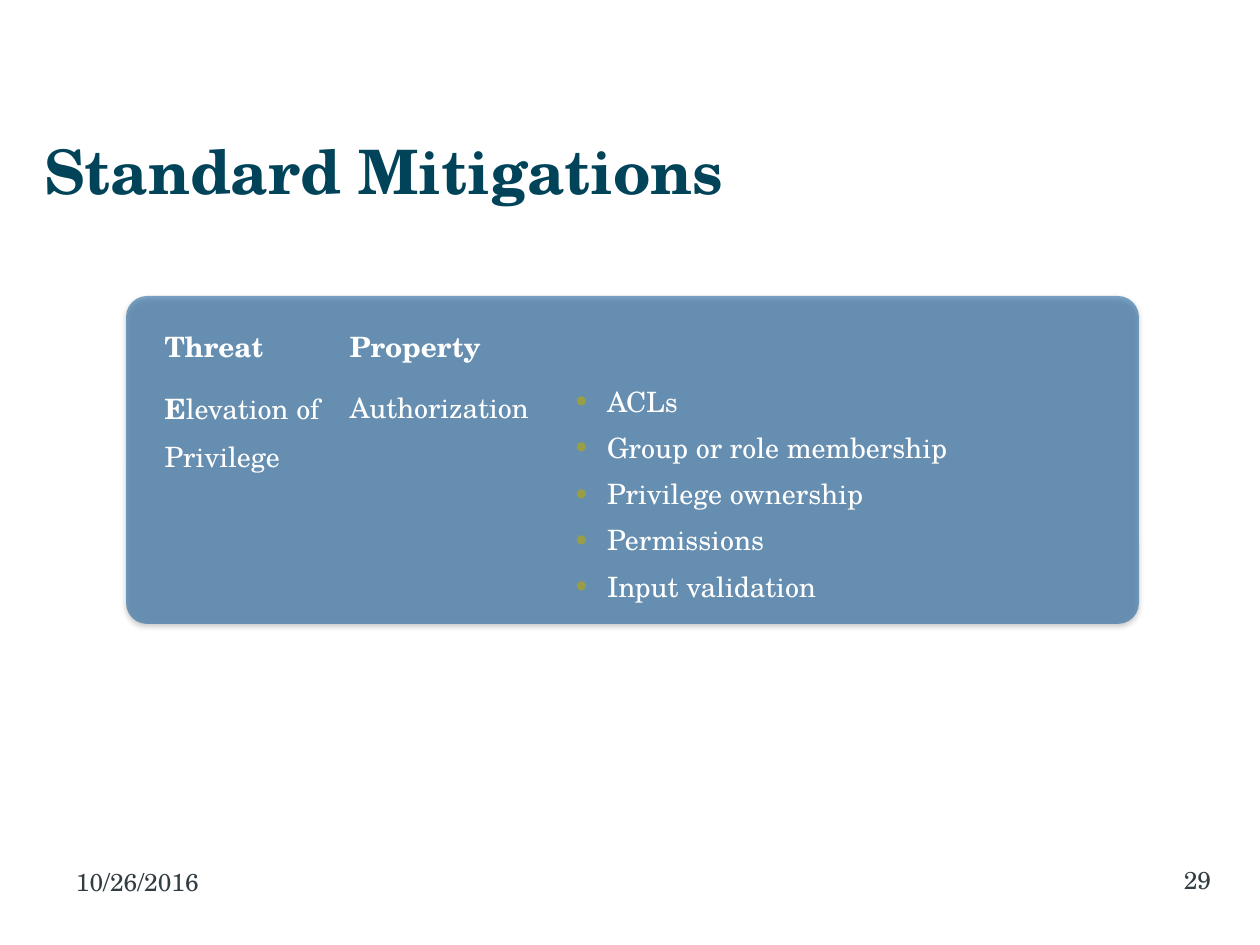
from dataclasses import dataclass

from lxml import etree
from pptx import Presentation, util as u
from pptx.dml.color import RGBColor
from pptx.enum import shapes, text
from pptx.oxml import parse_xml
from pptx.oxml.ns import nsdecls, qn

PX = 914400 / 126
FONT = "TeX Gyre Schola"
WHITE, GREY, TEAL, BLUE, OLIVE = "FFFFFF", "323D43", "014359", "005194", "979E45"


@dataclass
class Footer:
    words: str
    box: tuple[int, int, int, int]
    align: text.PP_ALIGN
    margins: tuple[int, int]


def px(n: int) -> int:
    return u.Emu(round(n * PX))


def rgb(value: str) -> RGBColor:
    return RGBColor.from_string(value)


def place(sp, box: tuple[int, int, int, int]) -> None:
    for name, n in zip(("left", "top", "width", "height"), box):
        setattr(sp, name, px(n))


def add_run(p, words: str, size: int, color: str, bold: bool = False) -> None:
    r = p.add_run()
    r.text = words
    for name, value in {"name": FONT, "size": u.Pt(size), "bold": bold}.items():
        setattr(r.font, name, value)
    r.font.color.rgb = rgb(color)


def add_bullet(p) -> None:
    pPr = p._p.get_or_add_pPr()
    pPr.set("marL", str(u.Inches(0.25)))
    pPr.set("indent", str(-u.Inches(0.25)))
    color = etree.SubElement(pPr, qn("a:buClr"))
    etree.SubElement(color, qn("a:srgbClr"), val=OLIVE)
    etree.SubElement(pPr, qn("a:buSzPct"), val="120000")
    etree.SubElement(pPr, qn("a:buFont"), typeface="Arial")
    etree.SubElement(pPr, qn("a:buChar"), char="•")


def add_panel(s) -> None:
    sp = s.shapes.add_shape(shapes.MSO_SHAPE.ROUNDED_RECTANGLE,
                            *map(px, (126, 296, 1013, 328)))
    sp.adjustments[0] = 0.064
    sp.line.fill.background()
    sp.fill.solid()
    sp.fill.fore_color.rgb = rgb(BLUE)
    fill = sp._element.spPr.find(qn("a:solidFill"))
    etree.SubElement(fill[0], qn("a:alpha"), val="50000")
    sp._element.spPr.append(parse_xml(
        f'<a:effectLst {nsdecls("a")}><a:outerShdw blurRad="{u.Pt(3.1)}" '
        f'dist="{u.Pt(1.6)}" dir="5400000" rotWithShape="0"><a:srgbClr val="000000">'
        '<a:alpha val="38000"/></a:srgbClr></a:outerShdw></a:effectLst>'))


def add_footer(s, f: Footer) -> None:
    tf = s.shapes.add_textbox(*map(px, f.box)).text_frame
    tf.word_wrap = True
    tf.margin_left, tf.margin_right = map(px, f.margins)
    p = tf.paragraphs[0]
    p.alignment = f.align
    add_run(p, f.words, 14, GREY)


# Each cell is a list of (words, bold) runs
ROWS = [
    [[("Threat", True)], [("Property", True)]],
    [[("E", True), ("levation of Privilege", False)], [("Authorization", False)]],
]
MITIGATIONS = ["ACLs", "Group or role membership", "Privilege ownership",
               "Permissions", "Input validation"]
COLUMNS, HEIGHTS = (185, 226, 576), (54, 42)
FOOTERS = [
    Footer("10/26/2016", (63, 861, 294, 66), text.PP_ALIGN.LEFT, (13, 13)),
    Footer("29", (917, 859, 294, 66), text.PP_ALIGN.RIGHT, (13, 0)),
]


def add_mitigations(s) -> None:
    frame = s.shapes.add_table(len(HEIGHTS), len(COLUMNS),
                               *map(px, (152, 312, sum(COLUMNS), sum(HEIGHTS))))
    table = frame.table
    table.first_row = table.horz_banding = False
    # "No Style, No Grid"
    table._tbl.tblPr.find(qn("a:tableStyleId")).text = "{2D5ABB26-0587-4C30-8999-92F81FD0307C}"
    for column, width in zip(table.columns, COLUMNS):
        column.width = px(width)
    for row, height in zip(table.rows, HEIGHTS):
        row.height = px(height)
        for cell in row.cells:
            cell.fill.background()
    for i, cells in enumerate(ROWS):
        for j, runs in enumerate(cells):
            p = table.cell(i, j).text_frame.paragraphs[0]
            p.line_spacing = 1.15
            for words, bold in runs:
                add_run(p, words, 16, WHITE, bold)
    tf = table.cell(1, 2).text_frame
    for i, words in enumerate(MITIGATIONS):
        p = tf.add_paragraph() if i else tf.paragraphs[0]
        if i:
            p.space_before = u.Pt(3)
        add_bullet(p)
        add_run(p, words, 16, WHITE)


def main() -> None:
    prs = Presentation()
    prs.slide_width, prs.slide_height = px(1260), px(945)
    s = prs.slides.add_slide(prs.slide_layouts[5])

    # Panel and table
    add_panel(s)
    add_mitigations(s)

    # Title
    title = s.shapes.title
    place(title, (44, 125, 1170, 89))
    tf = title.text_frame
    for name, value in {"margin_left": 0, "word_wrap": True,
                        "vertical_anchor": text.MSO_ANCHOR.MIDDLE}.items():
        setattr(tf, name, value)
    p = tf.paragraphs[0]
    p.alignment = text.PP_ALIGN.LEFT
    add_run(p, "Standard Mitigations", 35, TEAL, True)

    # Date and page number
    for footer in FOOTERS:
        add_footer(s, footer)

    prs.save("out.pptx")


if __name__ == "__main__":
    main()
